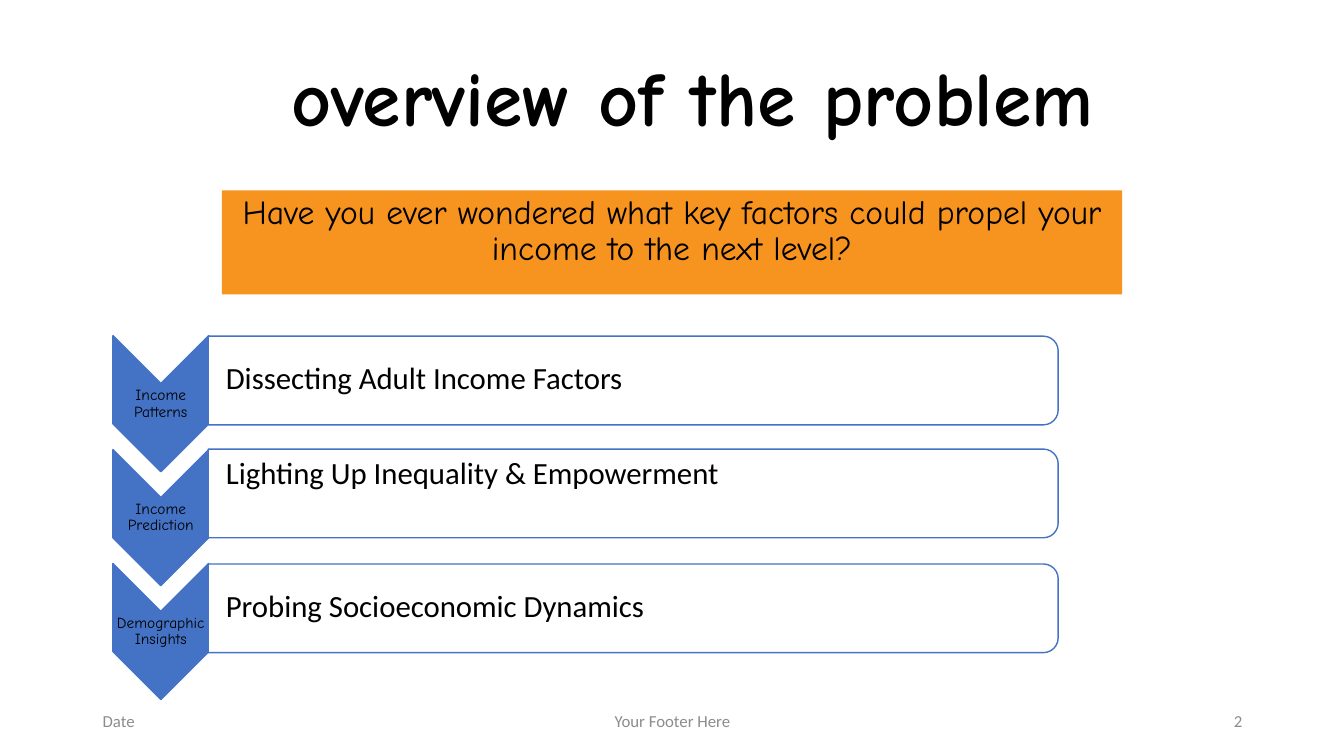
from dataclasses import dataclass

from pptx import Presentation
from pptx.dml.color import RGBColor
from pptx.enum.shapes import MSO_SHAPE
from pptx.enum.text import MSO_ANCHOR, MSO_AUTO_SIZE, PP_ALIGN
from pptx.util import Pt

# Content
TITLE = "overview of the problem"
QUESTION = "Have you ever wondered what key factors could propel your income to the next level?"
# (chevron label, bar text, px the bar text is lifted by)
STEPS = [
    ("Income Patterns", "Dissecting Adult Income Factors", 0),
    ("Income Prediction", "Lighting Up Inequality & Empowerment", 19),
    ("Demographic Insights", "Probing Socioeconomic Dynamics", 0),
]
# (text, left, width, alignment)
FOOTERS = [
    ("Date", 92, 300, PP_ALIGN.LEFT),
    ("Your Footer Here", 442, 450, PP_ALIGN.CENTER),
    ("2", 942, 300, PP_ALIGN.RIGHT),
]


@dataclass(frozen=True)
class Theme:
    display_font: str = "Comic Neue"
    body_font: str = "Calibri"
    black: str = "000000"
    white: str = "FFFFFF"
    grey: str = "8C8C8C"
    orange: str = "F7931F"
    blue: str = "4472C4"
    title_size: float = 55.5
    question_size: int = 24
    bar_size: int = 22
    label_size: int = 11
    footer_size: int = 12


THEME = Theme()

# Geometry in px, 100 px to the inch
EMU_PER_PX = 9144
SLIDE_SIZE = (1333, 750)
TITLE_BOX = (220, 0, 934, 147)
QUESTION_BOX = (220, 189, 893, 103)
FOOTER_TOP, FOOTER_HEIGHT = 695, 40
STEP_LEFT, STEP_TOP, STEP_PITCH = 112, 333, 113
CHEVRON_WIDTH, CHEVRON_HEIGHT = 95, 135
LABEL_OFFSET, LABEL_HEIGHT = 47, 41
BAR_WIDTH, BAR_HEIGHT = 843, 88
BAR_TEXT_WIDTH, BAR_TEXT_HEIGHT = 839, 79


def px(*lengths):
    return [length * EMU_PER_PX for length in lengths]


def write(shape, text, size, font=THEME.body_font, color=THEME.black, bold=False,
          align=PP_ALIGN.LEFT, anchor=MSO_ANCHOR.MIDDLE, spacing=0.9, insets=None):
    frame = shape.text_frame
    frame.text = text
    frame.word_wrap = True
    frame.auto_size = MSO_AUTO_SIZE.NONE
    frame.vertical_anchor = anchor
    if insets:
        (frame.margin_left, frame.margin_top,
         frame.margin_right, frame.margin_bottom) = px(*insets)
    paragraph = frame.paragraphs[0]
    paragraph.alignment = align
    paragraph.line_spacing = spacing
    style = paragraph.runs[0].font
    style.name, style.size, style.bold = font, Pt(size), bold
    style.color.rgb = RGBColor.from_string(color)
    return paragraph


def add_box(slide, kind, box, fill, line=None):
    shape = slide.shapes.add_shape(kind, *px(*box))
    shape.shadow.inherit = False
    shape.fill.solid()
    shape.fill.fore_color.rgb = RGBColor.from_string(fill)
    if line:
        shape.line.color.rgb = RGBColor.from_string(line)
        shape.line.width = Pt(1)
    else:
        shape.line.fill.background()
    return shape


def add_turned(slide, kind, left, top, width, height, fill):
    """Add a shape turned by 90 degrees that covers the given area."""
    shift = (width - height) / 2
    box = (left + shift, top - shift, height, width)
    shape = add_box(slide, kind, [round(length) for length in box], fill, THEME.blue)
    shape.rotation = 90


def add_step(slide, index, label, text, lift):
    top = STEP_TOP + index * STEP_PITCH
    bar_left = STEP_LEFT + CHEVRON_WIDTH

    add_turned(slide, MSO_SHAPE.CHEVRON, STEP_LEFT, top,
               CHEVRON_WIDTH, CHEVRON_HEIGHT, THEME.blue)
    label_box = slide.shapes.add_textbox(
        *px(STEP_LEFT, top + LABEL_OFFSET, CHEVRON_WIDTH, LABEL_HEIGHT))
    write(label_box, label, THEME.label_size, THEME.display_font,
          align=PP_ALIGN.CENTER, insets=(1, 1, 1, 1))

    add_turned(slide, MSO_SHAPE.ROUND_2_SAME_RECTANGLE, bar_left, top,
               BAR_WIDTH, BAR_HEIGHT, THEME.white)
    text_top = top + (BAR_HEIGHT - BAR_TEXT_HEIGHT) // 2
    text_box = slide.shapes.add_textbox(
        *px(bar_left, text_top, BAR_TEXT_WIDTH, BAR_TEXT_HEIGHT))
    write(text_box, text, THEME.bar_size, insets=(17, 2, 2, 2 + 2 * lift))


def main():
    presentation = Presentation()
    presentation.slide_width, presentation.slide_height = px(*SLIDE_SIZE)
    slide = presentation.slides.add_slide(presentation.slide_layouts[5])

    # Title
    title = slide.shapes.title
    title.left, title.top, title.width, title.height = px(*TITLE_BOX)
    write(title, TITLE, THEME.title_size, THEME.display_font, bold=True,
          align=PP_ALIGN.CENTER, anchor=MSO_ANCHOR.BOTTOM)

    # Question banner
    banner = add_box(slide, MSO_SHAPE.RECTANGLE, QUESTION_BOX, THEME.orange)
    paragraph = write(banner, QUESTION, THEME.question_size, THEME.display_font,
                      align=PP_ALIGN.CENTER, anchor=MSO_ANCHOR.TOP)
    paragraph.space_before, paragraph.space_after = Pt(10), Pt(12)

    # Steps
    for index, step in enumerate(STEPS):
        add_step(slide, index, *step)

    # Footer
    for text, left, width, align in FOOTERS:
        footer = slide.shapes.add_textbox(*px(left, FOOTER_TOP, width, FOOTER_HEIGHT))
        write(footer, text, THEME.footer_size, color=THEME.grey, align=align, spacing=1.0)

    presentation.save("out.pptx")


if __name__ == "__main__":
    main()
